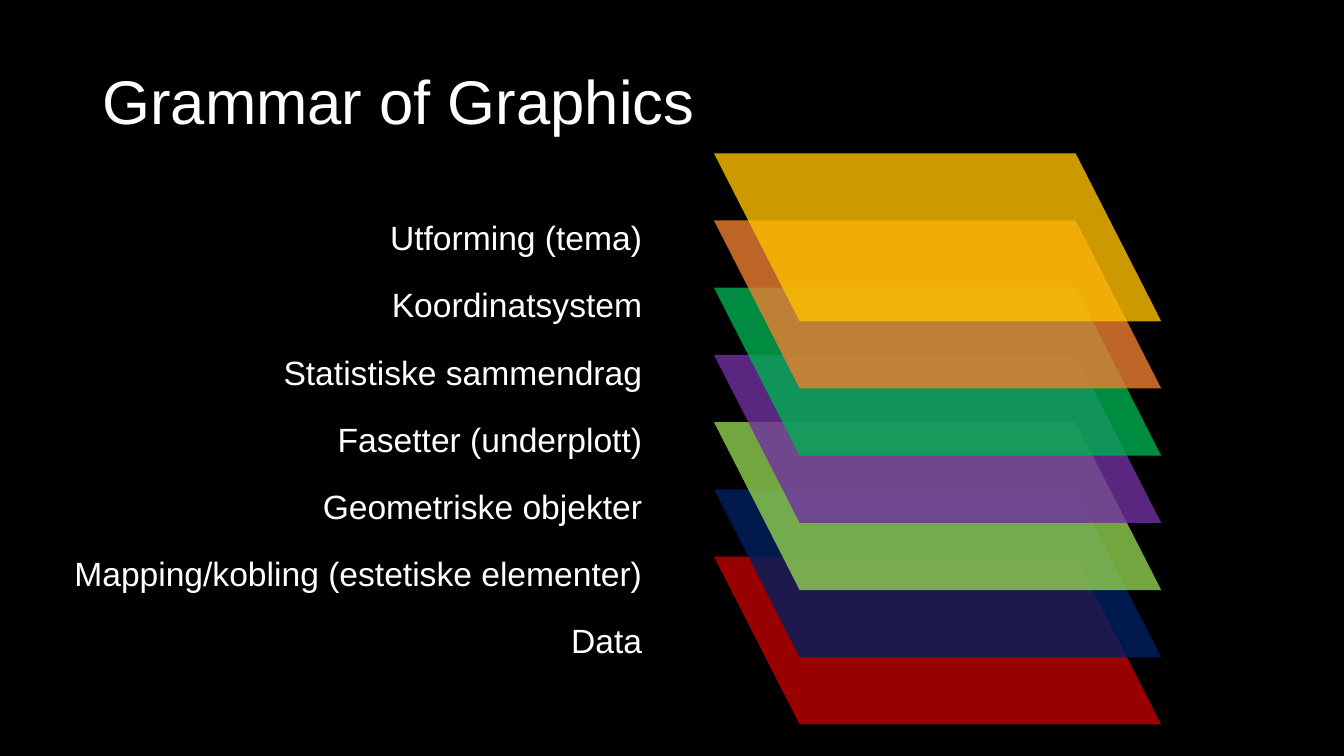
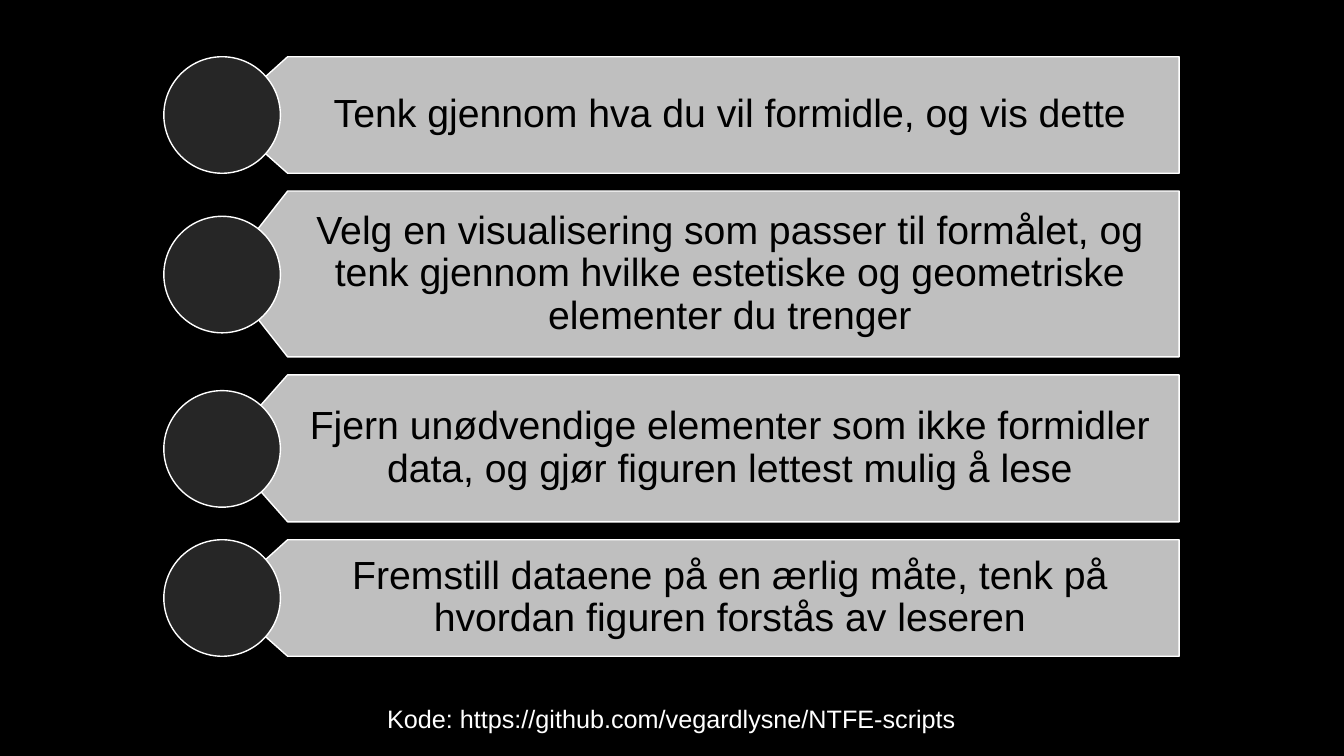
from lxml import etree
from pptx import Presentation
from pptx import util as u
from pptx.dml.color import RGBColor
from pptx.enum import shapes, text
from pptx.oxml.ns import qn

PX = 9525
SLIDE_W, SLIDE_H = 1280, 720
FONT = "Arial"
BLACK, WHITE = "000000", "FFFFFF"
BANNER_GREY, CIRCLE_GREY = "BFBFBF", "262626"

# Bottom layer first, so that each later one lies on top.
LAYERS = [
    ("Data", "C00000"),
    ("Mapping/kobling (estetiske elementer)", "002060"),
    ("Geometriske objekter", "92D050"),
    ("Fasetter (underplott)", "7030A0"),
    ("Statistiske sammendrag", "00B050"),
    ("Koordinatsystem", "ED7D31"),
    ("Utforming (tema)", "FFC000"),
]
ADVICE = [
    ("Tenk gjennom hva du vil formidle, og vis dette", 111),
    ("Velg en visualisering som passer til formålet, og tenk gjennom hvilke "
     "estetiske og geometriske elementer du trenger", 158),
    ("Fjern unødvendige elementer som ikke formidler data, og gjør figuren "
     "lettest mulig å lese", 140),
    ("Fremstill dataene på en ærlig måte, tenk på hvordan figuren forstås "
     "av leseren", 111),
]


def px(*lengths):
    return [u.Emu(length * PX) for length in lengths]


def rgb(color):
    return RGBColor.from_string(color)


def write(frame, words, size, color=WHITE, align="LEFT", spacing=1.0,
          anchor="TOP", insets=None):
    frame.word_wrap = True
    frame.vertical_anchor = getattr(text.MSO_ANCHOR, anchor)
    if insets:
        (frame.margin_left, frame.margin_top,
         frame.margin_right, frame.margin_bottom) = px(*insets)
    paragraph = frame.paragraphs[0]
    paragraph.alignment = getattr(text.PP_ALIGN, align)
    paragraph.line_spacing = spacing
    run = paragraph.add_run()
    run.text = words
    run.font.name = FONT
    run.font.size = u.Pt(size)
    run.font.color.rgb = rgb(color)


def add_label(parent, words, box, **style):
    label = parent.add_textbox(*px(*box))
    write(label.text_frame, words, **style)
    label.text_frame.auto_size = text.MSO_AUTO_SIZE.SHAPE_TO_FIT_TEXT


def paint(shape, fill, line=None, opacity=100):
    shape.shadow.inherit = False
    shape.fill.solid()
    shape.fill.fore_color.rgb = rgb(fill)
    if opacity < 100:
        color = shape._element.spPr.find(f"{qn('a:solidFill')}/{qn('a:srgbClr')}")
        etree.SubElement(color, qn("a:alpha"), val=str(opacity * 1000))
    if line:
        shape.line.color.rgb = rgb(line)
        shape.line.width = u.Pt(1)
    else:
        shape.line.fill.background()


def add_layer(slide, words, color, top):
    """Add a translucent sheet with its label to the left."""
    group = slide.shapes.add_group_shape().shapes
    sheet = group.add_shape(shapes.MSO_SHAPE.PARALLELOGRAM, *px(680, top, 426, 160))
    sheet.adjustments[0] = 0.51
    sheet._element.spPr.xfrm.set("flipH", "1")
    paint(sheet, color, opacity=80)
    add_label(group, words, (44, top + 56, 577, 48), size=24, align="RIGHT")


def add_banner(slide, words, top, height):
    """Add a banner pointing left, with a circle centred on its tip."""
    tip, shoulder, right, diameter = 212, 274, 1123, 111
    middle, bottom = top + height / 2, top + height
    group = slide.shapes.add_group_shape().shapes
    outline = group.build_freeform(right, bottom, scale=PX)
    outline.add_line_segments(
        [(shoulder, bottom), (tip, middle), (shoulder, top), (right, top)])
    banner = outline.convert_to_shape()
    paint(banner, BANNER_GREY, line=WHITE)
    write(banner.text_frame, words, 28, color=BLACK, align="CENTER",
          spacing=0.9, anchor="MIDDLE", insets=(76, 12, 21, 12))
    circle_top = round(middle - diameter / 2)
    circle = group.add_shape(
        shapes.MSO_SHAPE.OVAL, *px(156, circle_top, diameter, diameter))
    paint(circle, CIRCLE_GREY, line=WHITE)


def build_grammar(deck):
    slide = deck.slides.add_slide(deck.slide_layouts.get_by_name("Title Only"))
    title = slide.shapes.title
    title.left, title.top, title.width, title.height = px(88, 30, 1104, 139)
    write(title.text_frame, "Grammar of Graphics", 44, spacing=0.9, anchor="MIDDLE")
    for level, (words, color) in enumerate(LAYERS):
        add_layer(slide, words, color, top=530 - 64 * level)


def build_advice(deck):
    slide = deck.slides.add_slide(deck.slide_layouts.get_by_name("Blank"))
    top, gap = 54, 17
    for words, height in ADVICE:
        add_banner(slide, words, top, height)
        top += height + gap
    add_label(slide.shapes, "Kode: https://github.com/vegardlysne/NTFE-scripts",
              (161, 665, 957, 38), size=18, align="CENTER")


def main():
    deck = Presentation()
    deck.slide_width, deck.slide_height = px(SLIDE_W, SLIDE_H)
    backdrop = deck.slide_master.background.fill
    backdrop.solid()
    backdrop.fore_color.rgb = rgb(BLACK)
    build_grammar(deck)
    build_advice(deck)
    deck.save("out.pptx")


if __name__ == "__main__":
    main()
